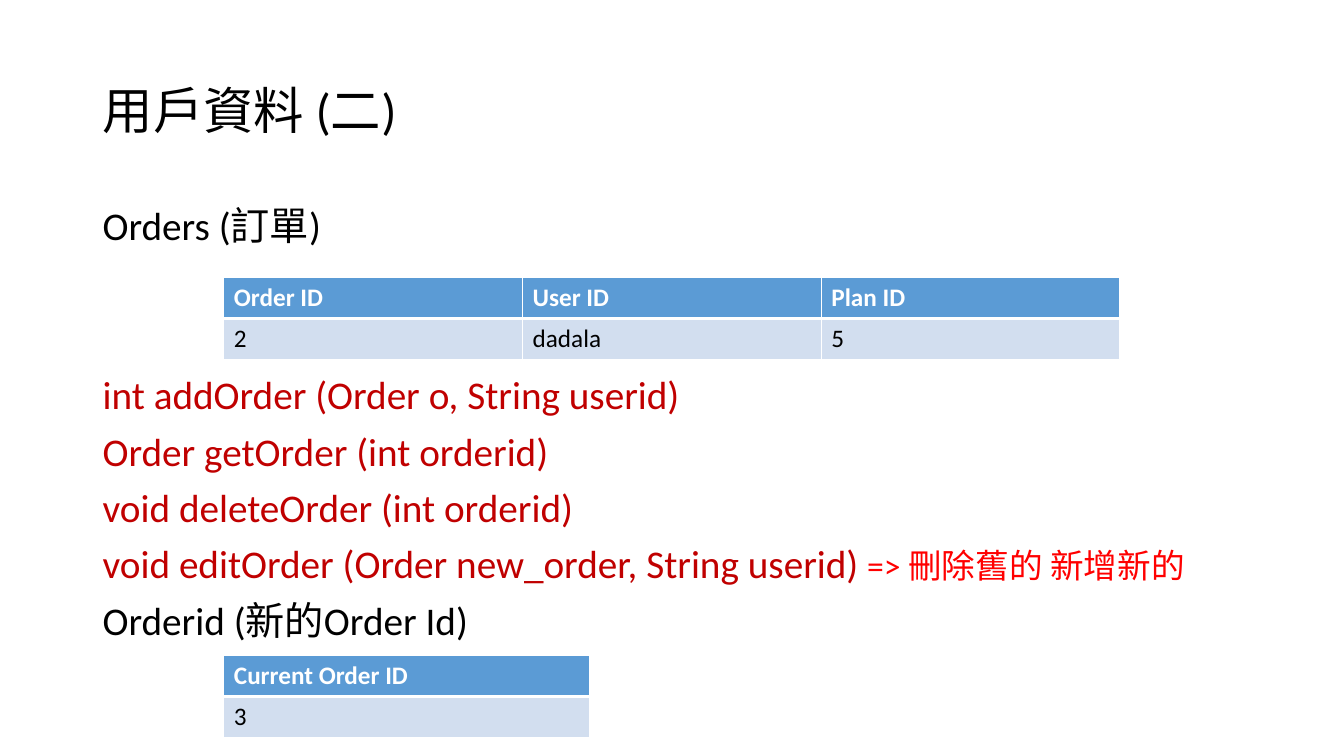
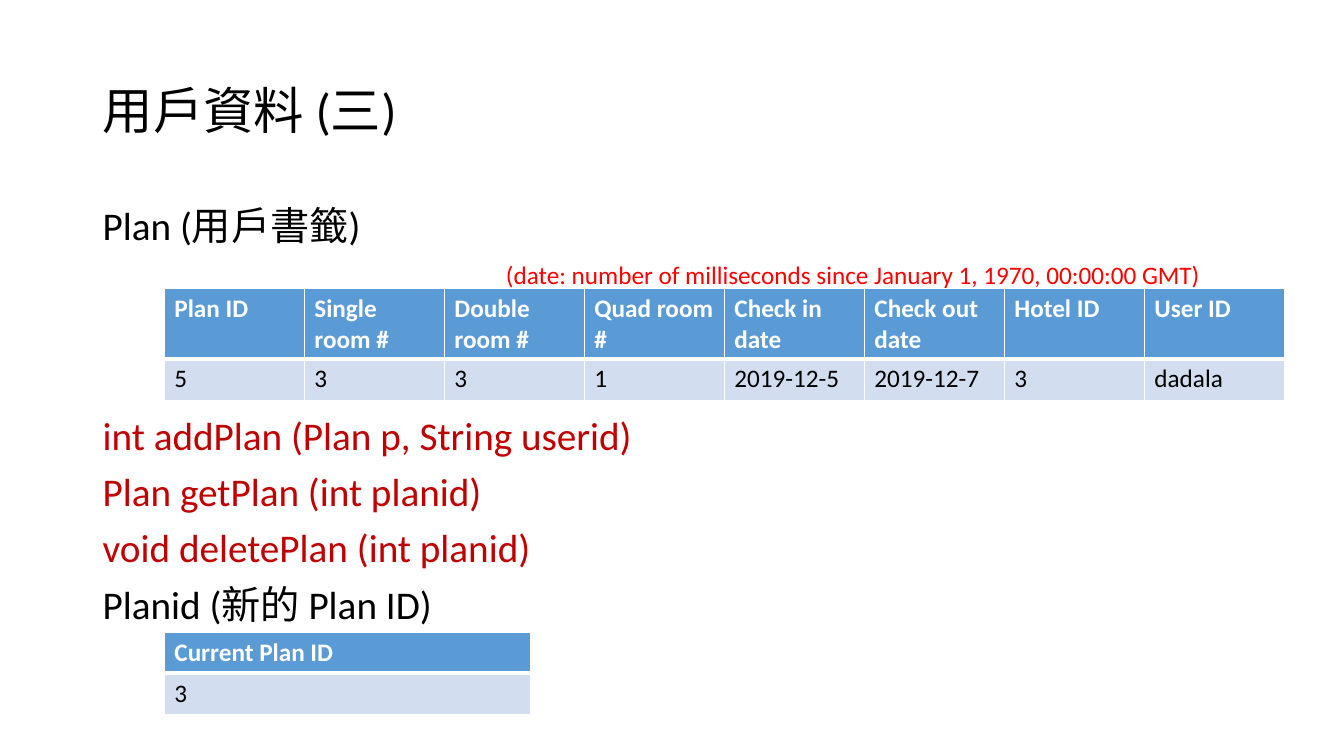
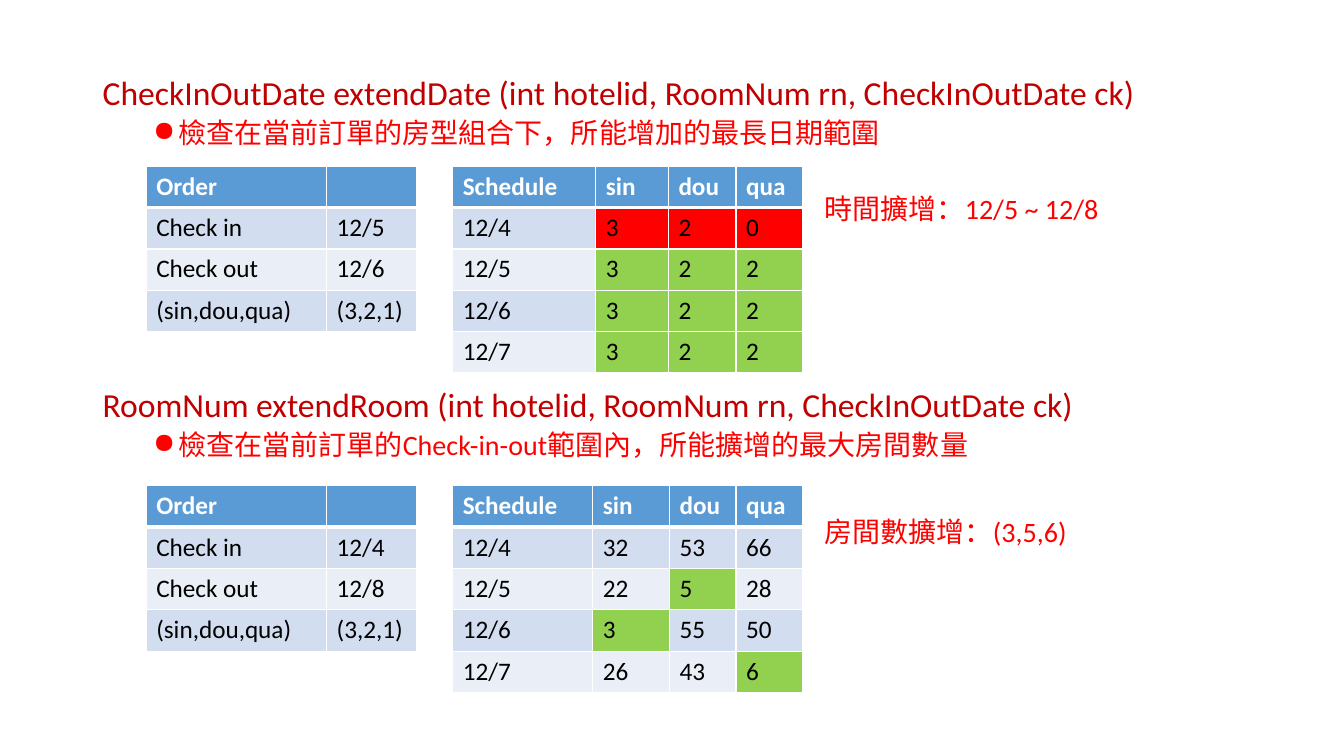
from dataclasses import dataclass, field

import pptx
import pptx.dml.color
import pptx.enum.text
import pptx.oxml.ns
import pptx.util
from lxml import etree

Inches = pptx.util.Inches
Pt = pptx.util.Pt
RGBColor = pptx.dml.color.RGBColor
Anchor = pptx.enum.text.MSO_ANCHOR
qn = pptx.oxml.ns.qn

BLACK = RGBColor(0x00, 0x00, 0x00)
WHITE = RGBColor(0xFF, 0xFF, 0xFF)
CODE = RGBColor(0xC0, 0x00, 0x00)
RED = RGBColor(0xFF, 0x00, 0x00)
GREEN = RGBColor(0x92, 0xD0, 0x50)
HEAD = RGBColor(0x5B, 0x9B, 0xD5)
BANDS = (RGBColor(0xD2, 0xDE, 0xEF), RGBColor(0xEA, 0xEF, 0xF7))

FONT = "Calibri"
LEFT, WIDE = 0.92, 11.5
ROW = 0.41
SIDE = 8.08


@dataclass
class Run:
    text: str
    size: int = 28
    color: RGBColor = BLACK
    bold: bool = False


@dataclass
class Line:
    runs: list[Run]
    bullet: bool = False


@dataclass
class Block:
    """A text box of one or more lines."""
    top: float
    lines: list[Line]
    left: float = LEFT
    width: float = WIDE
    height: float = 0.5
    anchor: Anchor = Anchor.TOP


@dataclass
class Grid:
    """A table; marks maps (row, column) to a cell colour."""
    left: float
    top: float
    cols: list[float]
    rows: list[tuple[str, ...]]
    marks: dict[tuple[int, int], RGBColor] = field(default_factory=dict)
    head: float = ROW


def line(text: str, size: int = 28, color: RGBColor = BLACK, bullet: bool = False) -> Line:
    return Line([Run(text, size, color)], bullet)


def code(*texts: str) -> list[Line]:
    return [line(text, color=CODE) for text in texts]


def title(text: str) -> Block:
    return Block(0.4, [line(text, 36)], height=1.45, anchor=Anchor.MIDDLE)


def method(top: float, call: str, about: str) -> Block:
    return Block(top, [line(call, 24, CODE), line(about, 20, RED, True)], height=0.9)


def result(top: float, text: str) -> Block:
    return Block(top, [line(text, 20, RED)], SIDE, 4.3)


def order(top: float, start: str, end: str) -> Grid:
    rows = [("Order", ""), ("Check in", start), ("Check out", end),
            ("(sin,dou,qua)", "(3,2,1)")]
    return Grid(1.45, top, [1.79, 0.89], rows)


def plan(top: float, cols: list[float], rooms: list[tuple[str, ...]],
         marks: dict[tuple[int, int], RGBColor]) -> Grid:
    days = [(f"12/{day}", *row) for day, row in enumerate(rooms, 4)]
    return Grid(4.49, top, cols, [("Schedule", "sin", "dou", "qua"), *days], marks)


def write(para, run: Run) -> None:
    piece = para.add_run()
    piece.text = run.text
    style = {"name": FONT, "size": Pt(run.size), "bold": run.bold}
    for key, value in style.items():
        setattr(piece.font, key, value)
    piece.font.color.rgb = run.color


def draw_text(slide, block: Block) -> None:
    box = slide.shapes.add_textbox(*map(Inches, (block.left, block.top, block.width, block.height)))
    frame = box.text_frame
    for key, value in {"word_wrap": True, "vertical_anchor": block.anchor}.items():
        setattr(frame, key, value)
    for i, item in enumerate(block.lines):
        para = frame.add_paragraph() if i else frame.paragraphs[0]
        gap = 0 if i == 0 else 5 if item.bullet else 10
        for key, value in {"line_spacing": 0.9, "space_before": Pt(gap)}.items():
            setattr(para, key, value)
        if item.bullet:
            props = para._p.get_or_add_pPr()
            props.set("marL", str(Inches(0.75)))
            props.set("indent", str(Inches(-0.25)))
            etree.SubElement(props, qn("a:buChar"), char="●")
        for run in item.runs:
            write(para, run)


def edge(cell, row: int) -> None:
    """Give a cell white borders, thick below the header."""
    props = cell._tc.get_or_add_tcPr()
    thick = {0: "B", 1: "T"}.get(row)
    for side in "LRTB":
        width = Pt(3 if side == thick else 1)
        rule = etree.SubElement(props, qn(f"a:ln{side}"), w=str(width))
        fill = etree.SubElement(rule, qn("a:solidFill"))
        etree.SubElement(fill, qn("a:srgbClr"), val=str(WHITE))


def draw_grid(slide, grid: Grid) -> None:
    tall = [grid.head] + [ROW] * (len(grid.rows) - 1)
    size = (grid.left, grid.top, sum(grid.cols), sum(tall))
    table = slide.shapes.add_table(len(tall), len(grid.cols), *map(Inches, size)).table
    for col, width in zip(table.columns, grid.cols):
        col.width = Inches(width)
    for r, (texts, height) in enumerate(zip(grid.rows, tall)):
        table.rows[r].height = Inches(height)
        base = BANDS[(r - 1) % 2] if r else HEAD
        for c, text in enumerate(texts):
            cell = table.cell(r, c)
            edge(cell, r)
            cell.fill.solid()
            cell.fill.fore_color.rgb = grid.marks.get((r, c), base)
            if text:
                ink = BLACK if r else WHITE
                write(cell.text_frame.paragraphs[0], Run(text, 18, ink, r == 0))


ORDERS = [
    title("用戶資料 (二)"),
    Block(2, [line("Orders (訂單)")]),
    Block(3.68, [
        *code("int addOrder (Order o, String userid)",
              "Order getOrder (int orderid)",
              "void deleteOrder (int orderid)"),
        Line([Run("void editOrder (Order new_order, String userid) ", color=CODE),
              Run("=> 刪除舊的 新增新的", 24, RED)]),
        line("Orderid (新的Order Id)"),
    ], height=2.8),
    Grid(2.22, 2.75, [8.89 / 3] * 3,
         [("Order ID", "User ID", "Plan ID"), ("2", "dadala", "5")]),
    Grid(2.22, 6.5, [3.63], [("Current Order ID",), ("3",)]),
]

PLANS = [
    title("用戶資料 (三)"),
    Block(2, [line("Plan (用戶書籤)")]),
    Block(2.56, [line("(date: number of milliseconds since January 1, 1970, 00:00:00 GMT)",
                      18, RED)], 4.92, 7.5, 0.4),
    Block(4.08, [
        *code("int addPlan (Plan p, String userid)",
              "Plan getPlan (int planid)",
              "void deletePlan (int planid)"),
        line("Planid (新的 Plan ID)"),
    ], height=2.2),
    Grid(1.63, 2.86, [11.11 / 8] * 8,
         [("Plan ID", "Single room #", "Double room #", "Quad room #",
           "Check in date", "Check out date", "Hotel ID", "User ID"),
          ("5", "3", "3", "1", "2019-12-5", "2019-12-7", "3", "dadala")], head=0.7),
    Grid(1.63, 6.27, [3.63], [("Current Plan ID",), ("3",)]),
]

FREE = {(r, c): GREEN if r > 1 else RED for r in range(1, 5) for c in range(1, 4)}
LEAST = dict.fromkeys([(2, 2), (3, 1), (4, 3)], GREEN)

EXTEND = [
    method(0.71, "CheckInOutDate extendDate (int hotelid, RoomNum rn, CheckInOutDate ck)",
           "檢查在當前訂單的房型組合下，所能增加的最長日期範圍"),
    result(1.89, "時間擴增：12/5 ~ 12/8"),
    order(1.65, "12/5", "12/6"),
    plan(1.65, [1.42, 0.72, 0.67, 0.66],
         [("3", "2", "0")] + [("3", "2", "2")] * 3, FREE),
    method(3.8, "RoomNum extendRoom (int hotelid, RoomNum rn, CheckInOutDate ck)",
           "檢查在當前訂單的Check-in-out範圍內，所能擴增的最大房間數量"),
    result(5.09, "房間數擴增：(3,5,6)"),
    order(4.82, "12/4", "12/8"),
    plan(4.82, [1.39, 0.76, 0.66, 0.66],
         [("32", "53", "66"), ("22", "5", "28"), ("3", "55", "50"), ("26", "43", "6")], LEAST),
]


def main() -> None:
    deck = pptx.Presentation()
    for key, value in {"slide_width": 13.33, "slide_height": 7.5}.items():
        setattr(deck, key, Inches(value))
    for parts in (ORDERS, PLANS, EXTEND):
        slide = deck.slides.add_slide(deck.slide_layouts[6])
        for part in parts:
            draw = draw_grid if isinstance(part, Grid) else draw_text
            draw(slide, part)
    deck.save("out.pptx")


if __name__ == "__main__":
    main()
